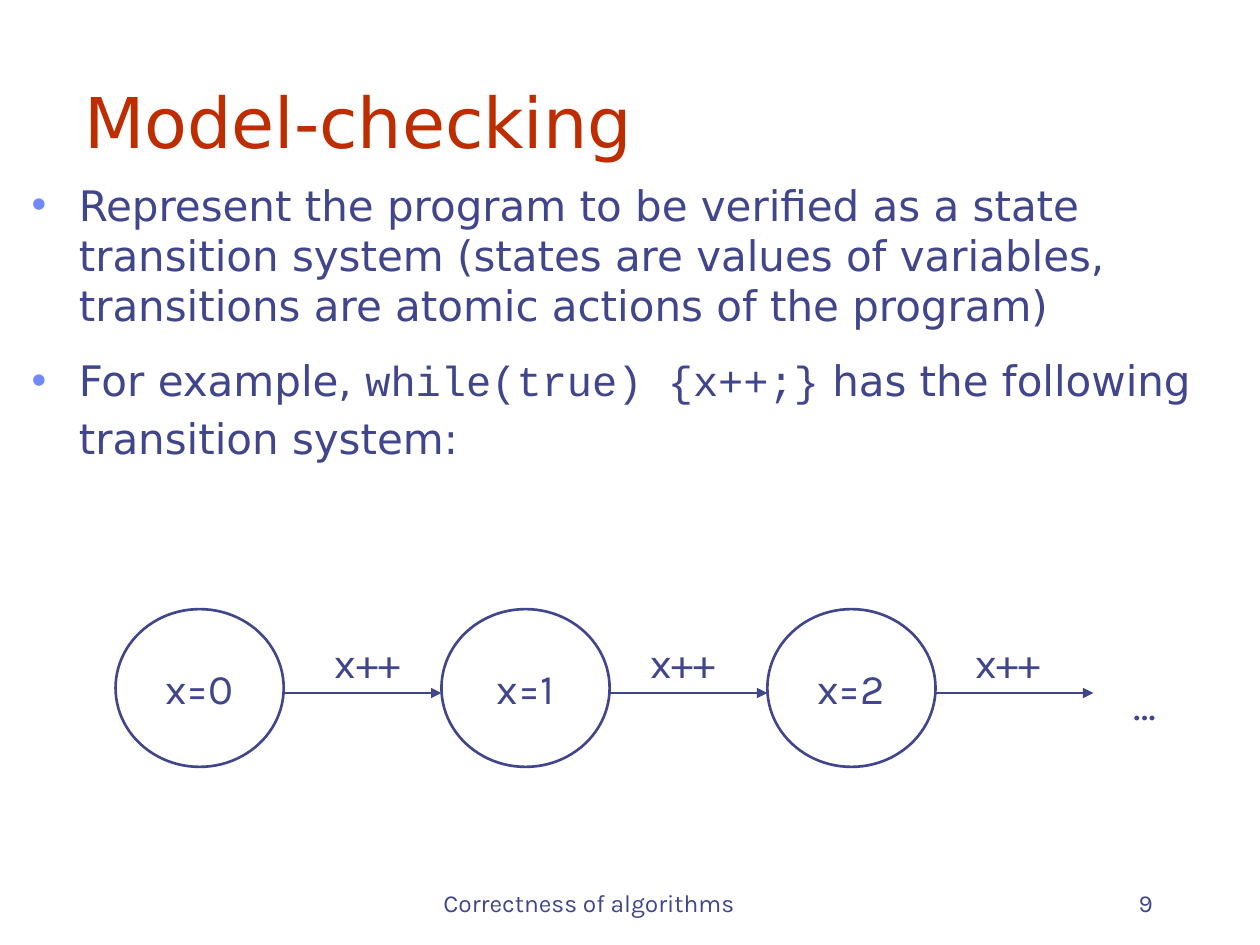
"""Build a slide that shows a loop as a state transition system."""
from lxml.etree import SubElement
from pptx import Presentation
from pptx.dml.color import RGBColor
from pptx.enum.shapes import MSO_CONNECTOR as Connector, MSO_SHAPE as Shape
from pptx.enum.text import MSO_ANCHOR as Anchor, PP_ALIGN as Align
from pptx.oxml.ns import qn
from pptx.util import Cm, Pt

COLORS = {"ink": "40458C", "title": "BE2D00", "bullet": "6F89F7"}
INK = RGBColor.from_string(COLORS["ink"])


def style(run, size, font="Karla", color="ink"):
    run.font.size = Pt(size)
    run.font.name = font
    run.font.color.rgb = RGBColor.from_string(COLORS[color])


def add_label(text, left, top, width, height, size=24, align=Align.CENTER,
              anchor=Anchor.TOP, font="Karla", color="ink"):
    label = slide.shapes.add_textbox(Cm(left), Cm(top), Cm(width), Cm(height))
    frame = label.text_frame
    frame.word_wrap = True
    frame.vertical_anchor = anchor
    frame.text = text
    frame.paragraphs[0].alignment = align
    for run in frame.paragraphs[0].runs:
        style(run, size, font, color)
    return frame


deck = Presentation()
deck.slide_width, deck.slide_height = Cm(25.4), Cm(19.05)
slide = deck.slides.add_slide(deck.slide_layouts[6])

add_label("Correctness of algorithms", 8.69, 17.35, 8.05, 1.27, 14, Align.LEFT, Anchor.BOTTOM)
add_label("9", 18.21, 17.35, 5.28, 1.27, 14, Align.RIGHT, Anchor.BOTTOM)
title = add_label("Model-checking", 1.7, 0.84, 21.59, 3.18, 40, Align.LEFT,
                  Anchor.MIDDLE, "DejaVu Sans", "title")
body = add_label("", 0.64, 3.61, 24.13, 13.34, align=Align.LEFT)
for frame in (title, body):
    frame.margin_left = frame.margin_right = frame.margin_top = frame.margin_bottom = 0

points = [
    [("Represent the program to be verified as a state transition system "
      "(states are values of variables, transitions are atomic actions of the program)",
      24, "DejaVu Sans")],
    [("For example, ", 24, "DejaVu Sans"),
     ("while(true) {x++;}", 24, "Courier New"),
     (" has the following transition system:", 24, "DejaVu Sans"),
     (" ", 28, "DejaVu Sans")],
]
body.add_paragraph()
for point, pieces in zip(body.paragraphs, points):
    point.space_after = Pt(14.1)
    properties = point._p.get_or_add_pPr()
    properties.set("marL", str(Cm(0.95)))
    properties.set("indent", str(-Cm(0.95)))
    bullet_color = SubElement(properties, qn("a:buClr"))
    SubElement(bullet_color, qn("a:srgbClr"), val=COLORS["bullet"])
    SubElement(properties, qn("a:buFont"), typeface="Arial")
    SubElement(properties, qn("a:buChar"), char="•")
    for text, size, font in pieces:
        run = point.add_run()
        run.text = text
        style(run, size, font)

first_left, state_width, state_height, step_length = 2.33, 3.39, 3.18, 3.18
state_top, step_y = 12.28, 13.97
for value, action_left in enumerate((6.14, 12.5, 19.05)):
    left = first_left + value * (state_width + step_length)
    state = slide.shapes.add_shape(Shape.OVAL, Cm(left), Cm(state_top),
                                   Cm(state_width), Cm(state_height))
    state.shadow.inherit = False
    state.fill.background()
    state.line.color.rgb = INK
    state.line.width = Pt(1.5)
    state.text_frame.text = f"x={value}"
    state.text_frame.word_wrap = False
    state.text_frame.vertical_anchor = Anchor.MIDDLE
    state.text_frame.paragraphs[0].alignment = Align.CENTER
    style(state.text_frame.paragraphs[0].runs[0], 24)

    right = left + state_width
    step = slide.shapes.add_connector(Connector.STRAIGHT, Cm(right), Cm(step_y),
                                      Cm(right + step_length), Cm(step_y))
    step.line.color.rgb = INK
    step.line.width = Pt(1.5)
    SubElement(step.line._get_or_add_ln(), qn("a:tailEnd"), type="triangle")
    SubElement(step._element.spPr, qn("a:effectLst"))

    add_label("x++", action_left, 12.7, 2.54, 1.27)

add_label("…", 22.01, 13.55, 2.12, 1.27)

deck.save("out.pptx")
